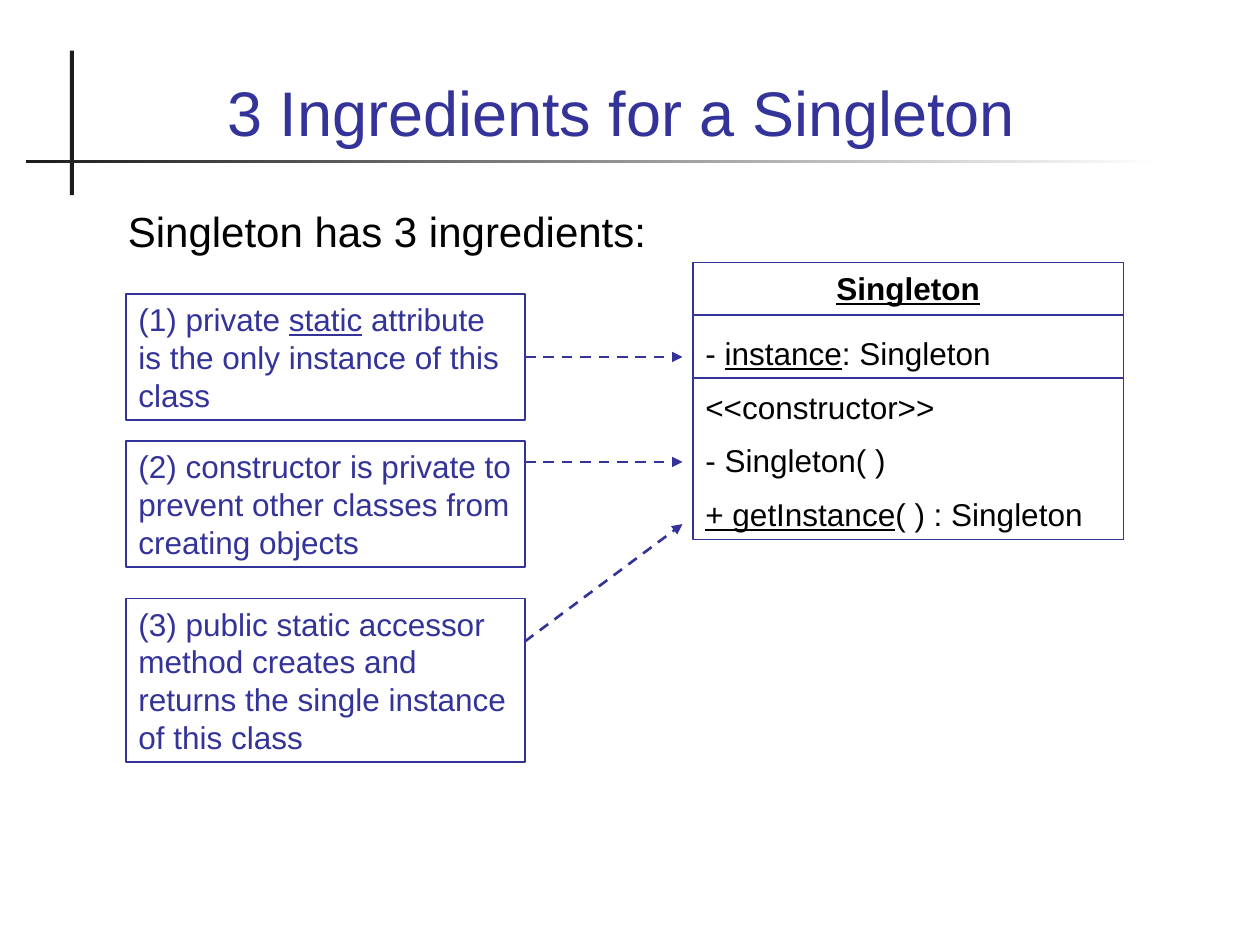
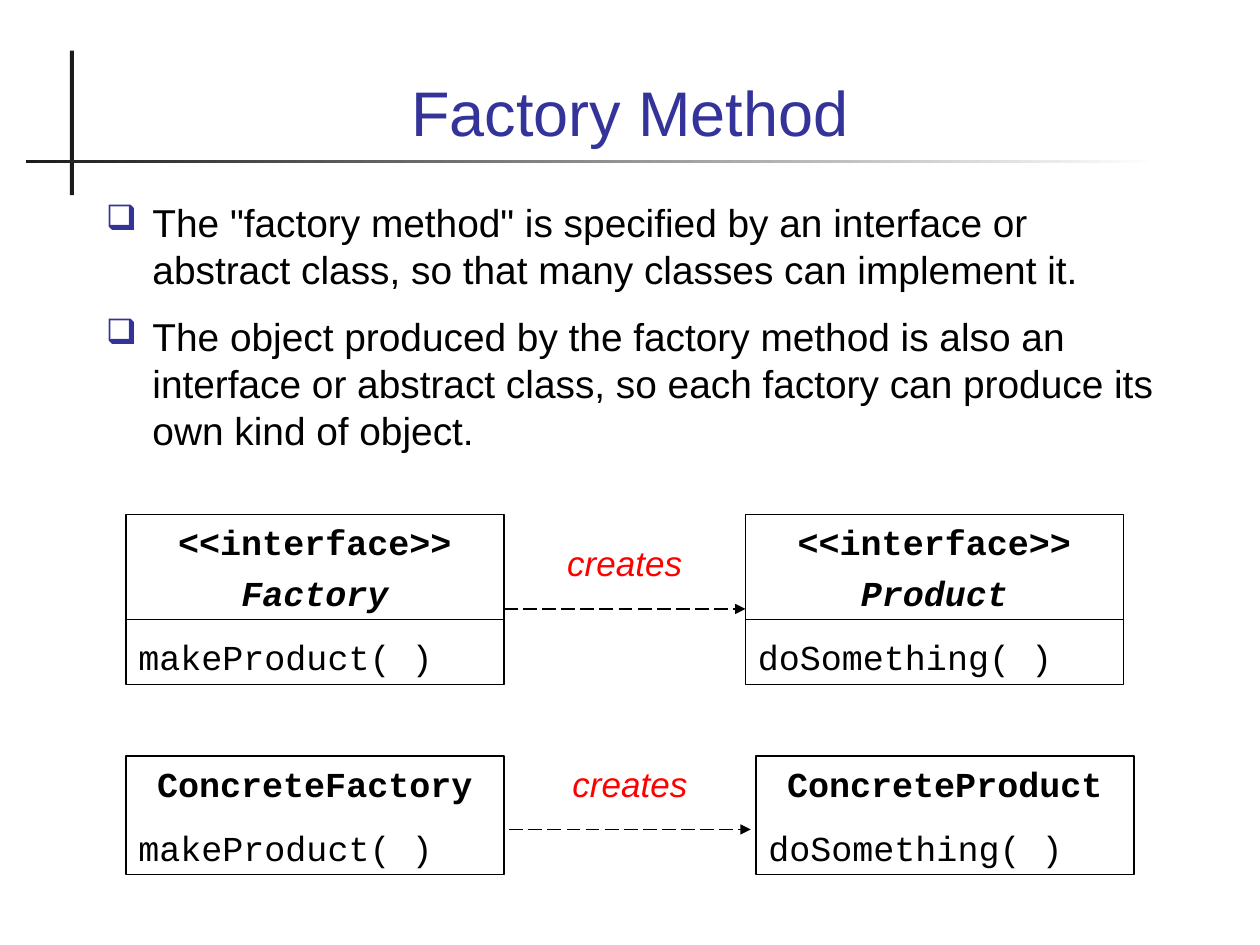
from lxml.etree import SubElement
from pptx import Presentation
from pptx.dml.color import RGBColor
from pptx.enum.dml import MSO_LINE
from pptx.enum.shapes import MSO_CONNECTOR, MSO_SHAPE
from pptx.enum.text import MSO_ANCHOR, PP_ALIGN
from pptx.oxml.ns import qn
from pptx.util import Pt

INDIGO = RGBColor(0x33, 0x33, 0x99)
BLACK = RGBColor(0, 0, 0)
RED = RGBColor(0xFF, 0, 0)
CHARCOAL = RGBColor(0x1C, 0x1C, 0x1C)
WHITE = RGBColor(0xFF, 0xFF, 0xFF)
LEFT, CENTER = PP_ALIGN.LEFT, PP_ALIGN.CENTER


def add_text(slide, box, paragraphs, size, color, font="Arial", border=None, width=1):
    """Each paragraph is (alignment, space before, [(text, style letters b/i/u), ...])."""
    lengths = [Pt(v) for v in box]
    if border is None:
        s = slide.shapes.add_textbox(*lengths)
    else:
        s = slide.shapes.add_shape(MSO_SHAPE.RECTANGLE, *lengths)
        s.shadow.inherit = False
        s.fill.background()
        s.line.color.rgb = border
        s.line.width = Pt(width)
    tf = s.text_frame
    tf.word_wrap = True
    tf.vertical_anchor = MSO_ANCHOR.TOP
    for i, (align, before, runs) in enumerate(paragraphs):
        p = tf.paragraphs[0] if i == 0 else tf.add_paragraph()
        p.alignment = align
        p.line_spacing = Pt(round(1.2 * size, 1))
        if before:
            p.space_before = Pt(before)
        for text, style in runs:
            r = p.add_run()
            r.text = text
            r.font.name = font
            r.font.size = Pt(size)
            r.font.color.rgb = color
            r.font.bold = "b" in style
            r.font.italic = "i" in style
            r.font.underline = "u" in style
    return s


def add_line(slide, x1, y1, x2, y2, color, width, arrow_dash=None):
    """Draw a plain line, or a dashed arrow when a dash style is given."""
    c = slide.shapes.add_connector(MSO_CONNECTOR.STRAIGHT, Pt(x1), Pt(y1), Pt(x2), Pt(y2))
    c.line.color.rgb = color
    c.line.width = Pt(width)
    if arrow_dash is not None:
        c.line.dash_style = arrow_dash
        SubElement(c.line._get_or_add_ln(), qn("a:tailEnd"), type="triangle")
    SubElement(c._element.spPr, qn("a:effectLst"))
    return c


prs = Presentation()
prs.slide_width, prs.slide_height = Pt(720), Pt(540)

# Shared cross-shaped rule and title
slides = []
for title in ("3 Ingredients for a Singleton ", "Factory Method"):
    slide = prs.slides.add_slide(prs.slide_layouts[6])
    slides.append(slide)
    upright = slide.shapes.add_shape(MSO_SHAPE.RECTANGLE, Pt(40), Pt(29), Pt(2.2), Pt(82.5))
    rule = slide.shapes.add_shape(MSO_SHAPE.RECTANGLE, Pt(15), Pt(91.2), Pt(647.5), Pt(2))
    for bar in (upright, rule):
        bar.shadow.inherit = False
        bar.line.fill.background()
    upright.fill.solid()
    upright.fill.fore_color.rgb = CHARCOAL
    rule.fill.gradient()
    rule.fill.gradient_angle = 0
    for stop, color in zip(rule.fill.gradient_stops, (CHARCOAL, WHITE)):
        stop.color.rgb = color
    s = add_text(slide, (48, 20, 624, 68.5), [(CENTER, 0, [(title, "")])], 36, INDIGO)
    s.text_frame.vertical_anchor = MSO_ANCHOR.BOTTOM
singleton, factory = slides

# Slide 1: class diagram with its three ingredients
add_text(singleton, (396, 150, 246, 158.4), [
    (CENTER, 0, [("Singleton", "bu")]),
    (LEFT, 15.7, [("- ", ""), ("instance", "u"), (": Singleton", "")]),
    (LEFT, 9, [("<<constructor>>", "")]),
    (LEFT, 9, [("- Singleton( )", "")]),
    (LEFT, 9, [("+ getInstance", "u"), ("( ) : Singleton", "")]),
], 18, BLACK, border=INDIGO)
for y in (180, 216):
    add_line(singleton, 396, y, 642, y, INDIGO, 1)

add_text(singleton, (66, 114, 606, 36),
         [(LEFT, 0, [("Singleton has 3 ingredients:", "")])], 24, BLACK)

# Box top and height, arrow start and end heights, text
ingredients = [
    (168, 72, 204, 204,
     [("(1) private ", ""), ("static", "u"),
      (" attribute is the only instance of this class", "")]),
    (252, 72, 264, 264,
     [("(2) constructor is private to prevent other classes from creating objects", "")]),
    (342, 93.6, 366.5, 299.5,
     [("(3) public static accessor method creates and returns "
       "the single instance of this class", "")]),
]
for top, height, start, end, runs in ingredients:
    s = add_text(singleton, (72, top, 228, height), [(LEFT, 0, runs)], 18, INDIGO,
                 border=INDIGO)
    arrow = add_line(singleton, 300, start, 390, end, INDIGO, 1.5, MSO_LINE.DASH)
    if start == top + height / 2:
        arrow.begin_connect(s, 3)

# Slide 2: bullets
points = [
    'The "factory method" is specified by an interface or abstract class, '
    "so that many classes can implement it.",
    "The object produced by the factory method is also an interface or abstract class, "
    "so each factory can produce its own kind of object.",
]
s = add_text(factory, (53.5, 110.3, 623.5, 160),
             [(LEFT, 12 * i, [(text, "")]) for i, text in enumerate(points)], 22.2, BLACK)
for p in s.text_frame.paragraphs:
    pPr = p._p.get_or_add_pPr()
    pPr.set("marL", str(Pt(26.6)))
    pPr.set("indent", str(-Pt(26.6)))
    SubElement(SubElement(pPr, qn("a:buClr")), qn("a:srgbClr"), val=str(INDIGO))
    SubElement(pPr, qn("a:buSzPct"), val="90000")
    SubElement(pPr, qn("a:buChar"), char="❑")

# Slide 2: interfaces above, concrete classes below
classes = [
    (72, 294, 97.2, "Factory", "makeProduct( )"),
    (426, 294, 97.2, "Product", "doSomething( )"),
    (72, 432, 67.7, "ConcreteFactory", "makeProduct( )"),
    (432, 432, 67.7, "ConcreteProduct", "doSomething( )"),
]
for left, top, height, name, method in classes:
    is_interface = not name.startswith("Concrete")
    if is_interface:
        heading = [(CENTER, 0, [("<<interface>>", "b")]), (CENTER, 5, [(name, "bi")])]
        add_line(factory, left, 354, left + 216, 354, BLACK, 0.75)
    else:
        heading = [(CENTER, 0, [(name, "b")])]
    add_text(factory, (left, top, 216, height), heading + [(LEFT, 12.5, [(method, "")])],
             20, BLACK, font="Courier New", border=BLACK, width=0.75)

for arrow_left, arrow_y, label_top in ((288, 348, 306), (291, 474, 432)):
    add_line(factory, arrow_left, arrow_y, arrow_left + 138, arrow_y, BLACK, 1,
             MSO_LINE.LONG_DASH)
    add_text(factory, (arrow_left + 18, label_top, 102, 31.5),
             [(CENTER, 0, [("creates", "i")])], 20, RED)

prs.save("out.pptx")
